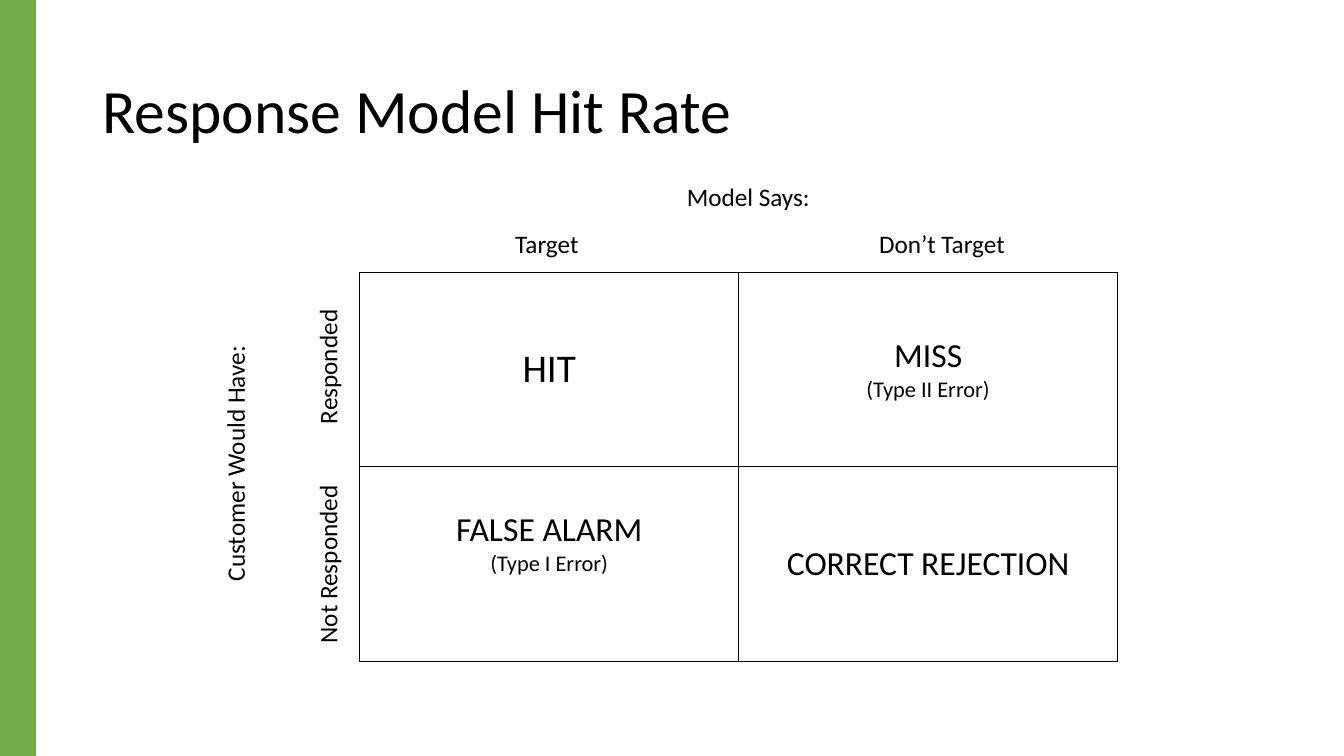
from lxml import etree
from pptx import Presentation
from pptx.dml.color import RGBColor
from pptx.enum.shapes import MSO_SHAPE
from pptx.enum.text import MSO_ANCHOR, PP_ALIGN
from pptx.oxml.ns import qn
from pptx.util import Pt

RECTANGLE = MSO_SHAPE.RECTANGLE
MIDDLE, TOP = MSO_ANCHOR.MIDDLE, MSO_ANCHOR.TOP
CENTER, LEFT = PP_ALIGN.CENTER, PP_ALIGN.LEFT

FONT = "Calibri"
COLORS = {"text": "000000", "border": "000000", "accent": "70AD47"}
SLIDE_WIDTH, SLIDE_HEIGHT = 960, 540
LABEL_HEIGHT = 29
BLANK_LINE = 29

# Each cell: its lines as (text, size), and the space kept free below them
OUTCOMES = [
    [([("HIT", 28)], 0),
     ([("MISS", 24), ("(Type II Error)", 16)], 0)],
    [([("FALSE ALARM", 24), ("(Type I Error)", 16)], BLANK_LINE),
     ([("CORRECT REJECTION", 24)], 0)],
]


def color(name):
    return RGBColor.from_string(COLORS[name])


def write_lines(text_frame, lines, alignment):
    for index, (text, size) in enumerate(lines):
        paragraph = text_frame.add_paragraph() if index else text_frame.paragraphs[0]
        paragraph.alignment = alignment
        run = paragraph.add_run()
        run.text = text
        run.font.name = FONT
        run.font.size = Pt(size)
        run.font.color.rgb = color("text")


def add_text(slide, box, text, size, alignment=CENTER, anchor=TOP):
    shape = slide.shapes.add_textbox(*(Pt(length) for length in box))
    shape.text_frame.word_wrap = True
    shape.text_frame.vertical_anchor = anchor
    write_lines(shape.text_frame, [(text, size)], alignment)
    return shape


def add_label(slide, center_x, center_y, width, text, rotation=0):
    box = (center_x - width / 2, center_y - LABEL_HEIGHT / 2, width, LABEL_HEIGHT)
    add_text(slide, box, text, 18).rotation = rotation


def add_side_bar(slide, box):
    bar = slide.shapes.add_shape(RECTANGLE, *(Pt(length) for length in box))
    bar.shadow.inherit = False
    bar.fill.solid()
    bar.fill.fore_color.rgb = color("accent")
    bar.line.color.rgb = color("accent")
    bar.line.width = Pt(1)


def add_title(slide, box):
    shape = add_text(slide, box, "Response Model Hit Rate", 44, LEFT, MIDDLE)
    shape.text_frame.paragraphs[0].line_spacing = 0.9


def set_borders(cell):
    properties = cell._tc.get_or_add_tcPr()
    for index, side in enumerate(("lnL", "lnR", "lnT", "lnB")):
        line = etree.Element(qn(f"a:{side}"), w=str(Pt(1)))
        fill = etree.SubElement(line, qn("a:solidFill"))
        etree.SubElement(fill, qn("a:srgbClr"), val=COLORS["border"])
        properties.insert(index, line)


def add_matrix(slide, box):
    left, top, width, height = box
    frame = slide.shapes.add_table(2, 2, *(Pt(length) for length in box))
    table = frame.table
    table.first_row = False
    table.horz_banding = False
    for column in table.columns:
        column.width = Pt(width / 2)
    for row, outcomes in zip(table.rows, OUTCOMES):
        row.height = Pt(height / 2)
        for cell, (lines, space_below) in zip(row.cells, outcomes):
            cell.fill.background()
            set_borders(cell)
            cell.vertical_anchor = MIDDLE
            cell.margin_bottom = Pt(3.6 + space_below)
            write_lines(cell.text_frame, lines, CENTER)

    # Column headings above the matrix
    add_label(slide, left + width / 2 + 6.8, top - 54, 315, "Model Says:")
    for index, text in enumerate(("Target", "Don’t Target")):
        add_label(slide, left + 133.6 + index * 282.2, top - 20.2, 315, text)

    # Row headings to the left of the matrix
    add_label(slide, left - 89.2, top + height / 2 - 2.2, 222,
              "Customer Would Have:", 270)
    for index, text in enumerate(("Responded", "Not Responded")):
        add_label(slide, left - 23, top + 67.7 + index * 141.1, 182, text, 270)


def main():
    presentation = Presentation()
    presentation.slide_width = Pt(SLIDE_WIDTH)
    presentation.slide_height = Pt(SLIDE_HEIGHT)
    slide = presentation.slides.add_slide(presentation.slide_layouts[6])
    add_title(slide, (66, 29, 828, 104.4))
    add_matrix(slide, (257, 194.4, 541.4, 278))
    add_side_bar(slide, (0, 0, 25.2, SLIDE_HEIGHT))
    presentation.save("out.pptx")


if __name__ == "__main__":
    main()
